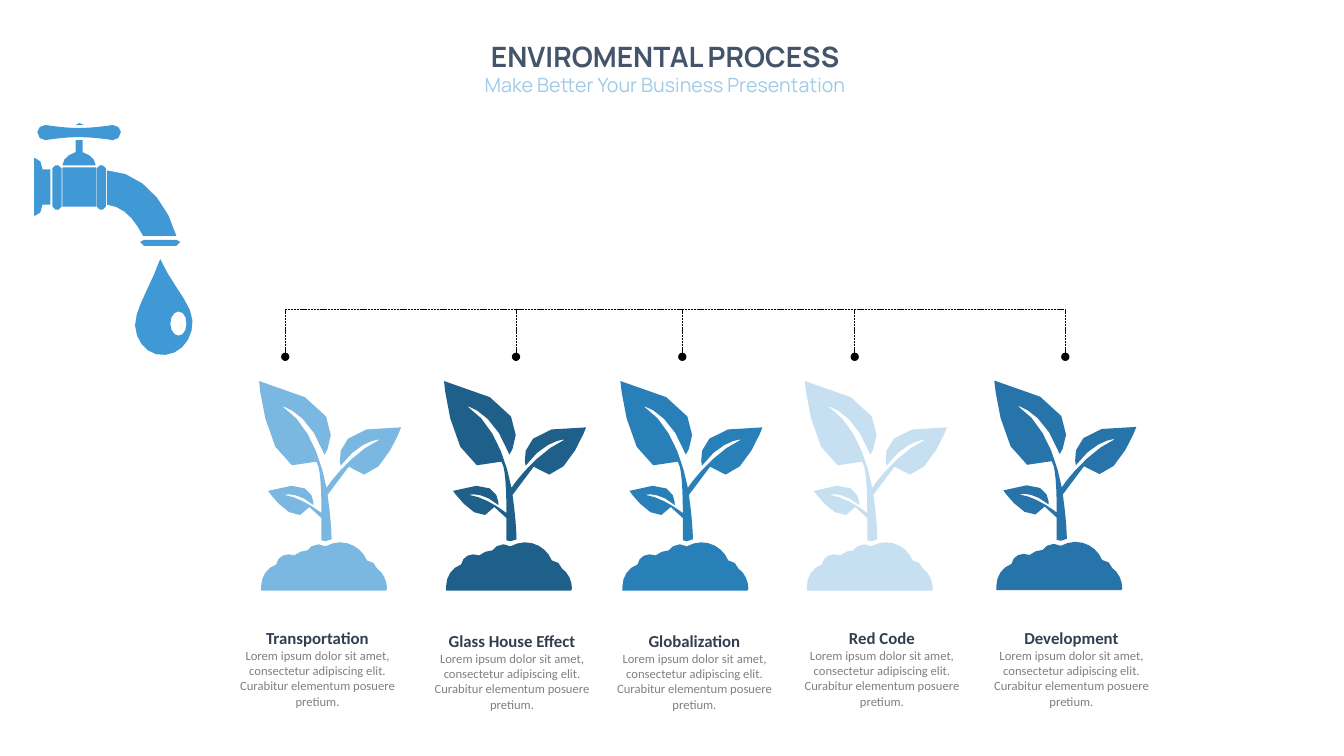
from math import ceil, dist

from lxml import etree
from pptx import Presentation
from pptx.dml.color import RGBColor
from pptx.enum.dml import MSO_LINE
from pptx.enum.shapes import MSO_CONNECTOR, MSO_SHAPE
from pptx.enum.text import MSO_AUTO_SIZE, PP_ALIGN
from pptx.oxml.ns import qn
from pptx.util import Cm, Pt

TITLE_SLATE = RGBColor(0x44, 0x54, 0x6A)
SUBTITLE_BLUE = RGBColor(0x9F, 0xCB, 0xE9)
TAP_BLUE = RGBColor(0x40, 0x98, 0xD4)
HEADING_NAVY = RGBColor(0x33, 0x3F, 0x50)
BODY_GREY = RGBColor(0x80, 0x80, 0x80)
BLACK = RGBColor(0, 0, 0)
SKY = RGBColor(0x7B, 0xB8, 0xE1)
DEEP = RGBColor(0x1F, 0x60, 0x8B)
MID = RGBColor(0x29, 0x80, 0xB9)
PALE = RGBColor(0xC6, 0xE0, 0xF2)
STEEL = RGBColor(0x26, 0x74, 0xA9)

UNIT = Cm(0.0254)  # outline coordinates are hundredths of an inch
STEP_LENGTH, MAX_STEPS = 8, 5

# Outlines: ";" parts contours, "," parts segments.
# Two numbers are a straight segment, six are a cubic curve.
COLLAR = """96 205, 96 207 97 208 99 208, 102 208, 103 208 105 207 105 205,
    105 167, 105 165 103 164 102 164, 99 164, 97 164 96 165 96 167"""
TAP_PARTS = {
    "handle": """78 127, 94 127 112 124 112 124, 116 124 120 127 120 131,
        120 136 116 139 112 139, 112 139 94 136 78 136, 63 136 45 139 45 139,
        41 139 37 136 37 131, 37 127 41 124 45 124, 45 124 63 127 78 127""",
    "wall flange": """35 157, 39 157 42 162 42 167, 42 168, 50 168, 50 203,
        42 203, 42 204, 42 209 39 214 35 214, 34 214, 34 157""",
    "handle cap": """79 124, 77 124 76 124 75 124, 75 123 77 122 79 122,
        80 122 82 123 83 124, 81 124 80 124 79 124""",
    "stem": """75 151, 75 140, 75 139, 82 139, 82 151,
        89 153 95 158 95 164, 62 164, 62 158 68 153 75 151""",
    "spout": """142 234, 133 217 123 205 106 203, 106 169,
        138 170 165 198 175 234""",
    "spout rim": """139 240, 139 242 141 244 143 244, 175 244,
        177 244 179 242 179 240, 179 239 177 238 175 238, 143 238,
        141 238 139 239 139 240""",
    "drop": """159 257, 170 282 190 301 191 318, 192 335 180 351 164 352,
        149 354 135 341 134 323, 134 306 149 285 159 257;
        177 333, 182 333 185 328 185 321, 185 314 182 309 177 309,
        173 309 169 314 169 321, 169 328 173 333 177 333""",
}
SOIL = """274 560, 275 554 280 550 286 550, 288 550 290 550 292 551,
    296 548 300 546 305 546, 307 543 311 540 316 540, 319 540 321 541 323 542,
    327 540 332 538 337 538, 350 538 360 546 364 556, 369 556 373 560 374 564,
    380 568 384 576 384 584, 383 586, 259 586,
    259 582, 259 572 265 563 274 560"""
SPROUT = """338 462, 357 436 377 436 377 436, 352 447 328 477 324 484,
    318 454 306 420 280 403, 280 403 306 408 322 451, 322 451 358 400 257 378,
    257 378 266 489 314 458, 316 463, 318 470 319 489 319 509,
    314 505 297 493 282 491, 282 491 294 487 311 501, 311 501 314 470 266 487,
    266 487 294 528 307 503, 319 514, 319 536, 323 537, 329 535,
    329 529 328 511 325 491, 346 463, 372 494 398 424 398 424,
    325 419 338 462 338 462"""

# name, colour, shift of the plant, branch x; text left, top, width (inches)
STAGES = [
    ("Transportation", SKY, 0, 2.83, 2.23, 6.18, 1.84),
    ("Glass House Effect", DEEP, 183.5, 5.12, 4.16, 6.21, 1.84),
    ("Globalization", MID, 358.5, 6.77, 5.95, 6.21, 1.88),
    ("Red Code", PALE, 541.5, 8.48, 7.81, 6.18, 1.88),
    ("Development", STEEL, 729.5, 10.57, 9.69, 6.18, 1.88),
]
BODY = ("Lorem ipsum dolor sit amet, consectetur adipiscing elit. "
        "Curabitur elementum posuere pretium.")
RAIL_Y, BRANCH_END_Y = 3.07, 3.54


def draw_outline(group, outline, color, dx=0.0, dy=0.0):
    """Add an outline to the group as one filled freeform, curves sampled."""
    builder = None
    for contour in outline.split(";"):
        points = []
        for segment in contour.split(","):
            values = [float(value) for value in segment.split()]
            ends = list(zip(values[::2], values[1::2]))
            if len(ends) == 1:
                points += ends
                continue
            corners = [points[-1]] + ends
            length = sum(dist(a, b) for a, b in zip(corners, ends))
            steps = min(MAX_STEPS, ceil(length / STEP_LENGTH))
            for step in range(1, steps + 1):
                t = step / steps
                weights = ((1 - t) ** 3, 3 * t * (1 - t) ** 2,
                           3 * t * t * (1 - t), t ** 3)
                points.append(tuple(
                    sum(w * corner[axis] for w, corner in zip(weights, corners))
                    for axis in (0, 1)))
        points = [((x + dx) * UNIT, (y + dy) * UNIT) for x, y in points]
        if builder is None:
            builder = group.shapes.build_freeform(*points[0])
        else:
            builder.move_to(*points[0])
        builder.add_line_segments(points[1:], close=True)
    shape = builder.convert_to_shape()
    shape.shadow.inherit = False
    shape.fill.solid()
    shape.fill.fore_color.rgb = color
    shape.line.fill.background()


def add_dashed_line(group, x1, y1, x2, y2):
    ends = [Cm(inches * 2.54) for inches in (x1, y1, x2, y2)]
    line = group.shapes.add_connector(MSO_CONNECTOR.STRAIGHT, *ends)
    line.line.color.rgb = BLACK
    line.line.width = Pt(0.5)
    line.line.dash_style = MSO_LINE.SQUARE_DOT
    etree.SubElement(line._element.spPr, qn("a:effectLst"))
    return line


deck = Presentation()
deck.slide_width, deck.slide_height = Cm(33.87), Cm(19.05)
page = deck.slides.add_slide(deck.slide_layouts[6])

# Title
box = page.shapes.add_textbox(Cm(11.76), Cm(0.86), Cm(10.01), Cm(1.7))
box.text_frame.word_wrap = False
box.text_frame.auto_size = MSO_AUTO_SIZE.SHAPE_TO_FIT_TEXT
box.text_frame.text = "ENVIROMENTAL PROCESS\nMake Better Your Business Presentation"
title_styles = [(20, TITLE_SLATE, True), (14, SUBTITLE_BLUE, False)]
for para, (size, color, bold) in zip(box.text_frame.paragraphs, title_styles):
    para.alignment = PP_ALIGN.CENTER
    para.font.name = "Manrope"
    para.font.size = Pt(size)
    para.font.bold = bold
    para.font.color.rgb = color

# Tap with a drop
tap = page.shapes.add_group_shape()
body = tap.shapes.add_shape(MSO_SHAPE.RECTANGLE,
                            Cm(1.57), Cm(4.22), Cm(0.86), Cm(0.99))
body.shadow.inherit = False
body.fill.solid()
body.fill.fore_color.rgb = TAP_BLUE
body.line.fill.background()
for shift in (0, -44):
    draw_outline(tap, COLLAR, TAP_BLUE, shift)
for part in TAP_PARTS.values():
    draw_outline(tap, part, TAP_BLUE)

# Plants with captions
for name, color, shift, branch_x, left, top, width in STAGES:
    plant = page.shapes.add_group_shape()
    for outline in (SOIL, SPROUT):
        draw_outline(plant, outline, color, shift, -0.5 if color == STEEL else 0)
    box = page.shapes.add_textbox(Cm(left * 2.54), Cm(top * 2.54),
                                  Cm(width * 2.54), Cm(2.06))
    box.text_frame.word_wrap = True
    para = box.text_frame.paragraphs[0]
    para.alignment = PP_ALIGN.CENTER
    para.font.name = "Calibri"
    heading = para.add_run()
    para.add_line_break()
    detail = para.add_run()
    for span, text, size, ink, bold in ((heading, name, 12, HEADING_NAVY, True),
                                        (detail, BODY, 9, BODY_GREY, False)):
        span.text = text
        span.font.size = Pt(size)
        span.font.bold = bold
        span.font.color.rgb = ink

# Dashed rail with a dotted branch per stage
rail = page.shapes.add_group_shape()
branch_xs = [stage[3] for stage in STAGES]
add_dashed_line(rail, branch_xs[0], RAIL_Y, branch_xs[-1], RAIL_Y)
for x in branch_xs:
    branch = add_dashed_line(rail, x, RAIL_Y, x, BRANCH_END_Y)
    outline = branch._element.spPr.find(qn("a:ln"))
    etree.SubElement(outline, qn("a:tailEnd"), type="oval")

deck.save("out.pptx")
